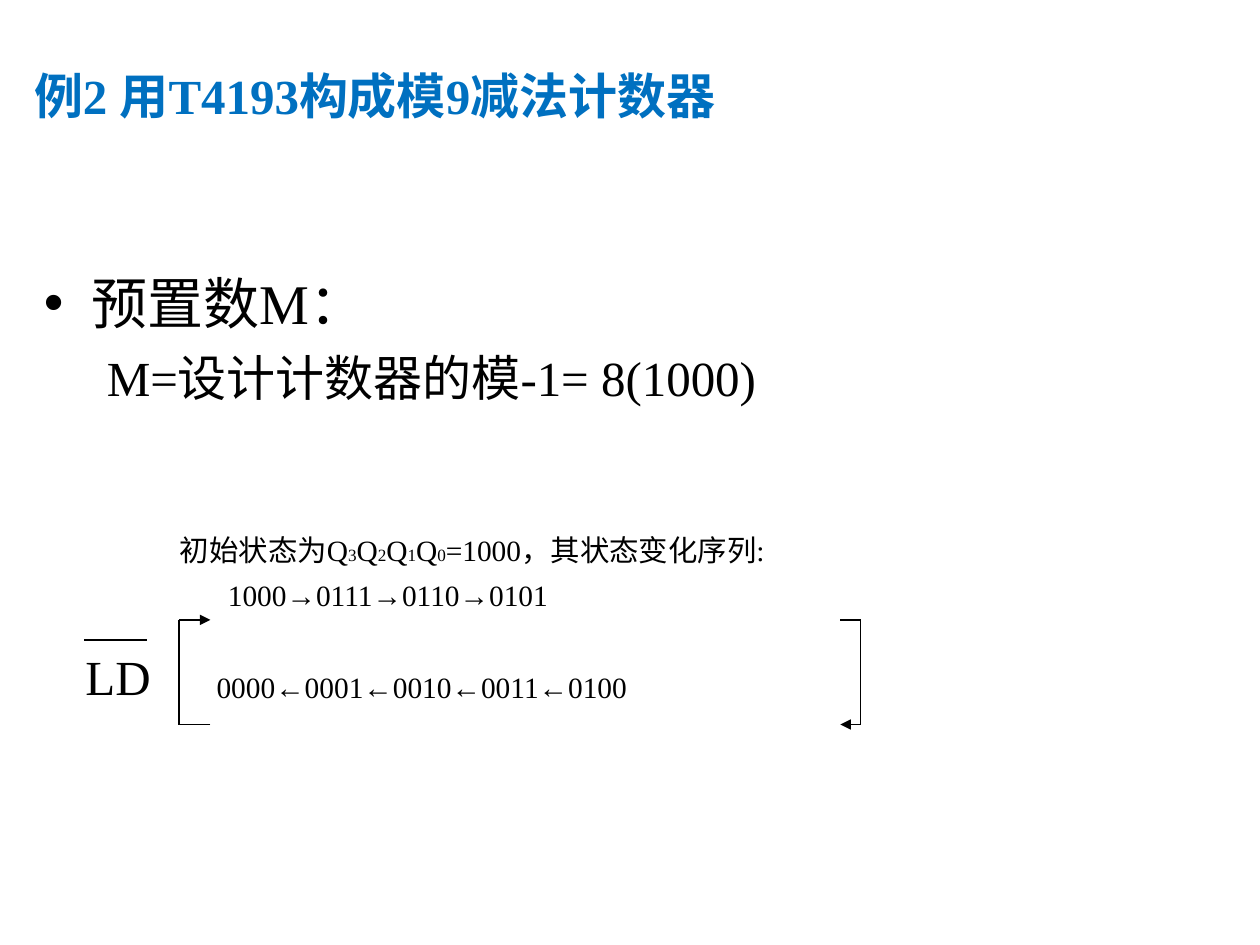
from itertools import pairwise

from lxml import etree
from pptx import Presentation
from pptx.dml.color import RGBColor
from pptx.enum import shapes, text
from pptx.oxml import ns
from pptx.util import Inches, Pt

FONT = "Times New Roman"
BLACK = "000000"
BLUE = "0070C0"


def color(value):
    return RGBColor.from_string(value)


def add_xml(parent, tag, **attrs):
    return etree.SubElement(parent, ns.qn(tag), **attrs)


def write(p, content, size, fill=BLACK, bold=False, before=0, left=0, first=0, bullet=None):
    pPr = p._p.get_or_add_pPr()
    pPr.set("marL", str(Inches(left)))
    pPr.set("indent", str(Inches(first)))
    if bullet:
        add_xml(pPr, "a:buFont", typeface="Arial")
        add_xml(pPr, "a:buChar", char=bullet)
    else:
        add_xml(pPr, "a:buNone")
    p.alignment = text.PP_ALIGN.LEFT
    p.space_before = Pt(before)
    runs = [content] if isinstance(content, str) else content
    for item in runs:
        value, baseline = (item, 0) if isinstance(item, str) else item
        r = p.add_run()
        r.text = value
        r.font.size = Pt(size)
        r.font.name = FONT
        r.font.bold = bold
        r.font.color.rgb = color(fill)
        if baseline:
            r.font._element.set("baseline", str(baseline))


def add_title(slide, content):
    sp = slide.shapes.title
    sp.left, sp.top, sp.width, sp.height = map(Inches, (0.17, 0.25, 6.57, 1))
    tf = sp.text_frame
    tf.word_wrap = True
    tf.vertical_anchor = text.MSO_ANCHOR.MIDDLE
    write(tf.paragraphs[0], content, 28, fill=BLUE, bold=True)


def add_text(slide, box, paragraphs):
    tf = slide.shapes.add_textbox(*map(Inches, box)).text_frame
    tf.word_wrap = True
    for i, (content, style) in enumerate(paragraphs):
        p = tf.add_paragraph() if i else tf.paragraphs[0]
        write(p, content, **style)


def add_line(parent, start, end, width=0.75, arrow=False):
    line = parent.shapes.add_connector(
        shapes.MSO_CONNECTOR.STRAIGHT, *map(Inches, (*start, *end)))
    line.line.color.rgb = color(BLACK)
    line.line.width = Pt(width)
    if arrow:
        add_xml(line.line._get_or_add_ln(), "a:tailEnd", type="triangle")
    add_xml(line._element.spPr, "a:effectLst")


def add_return_arrow(slide, inner, outer, start_y, end_y):
    group = slide.shapes.add_group_shape()
    points = [(inner, start_y), (outer, start_y), (outer, end_y), (inner, end_y)]
    for start, end in pairwise(points):
        add_line(group, start, end, arrow=end == points[-1])


def main():
    prs = Presentation()
    prs.slide_width, prs.slide_height = Inches(10), Inches(7.5)
    slide = prs.slides.add_slide(prs.slide_layouts[5])
    add_title(slide, "例2 用T4193构成模9减法计数器")

    add_text(slide, (0.25, 2.08, 8.92, 4.08), [
        ("预置数M：", dict(size=32, left=0.38, first=-0.38, bullet="•")),
        ("M=设计计数器的模-1= 8(1000)", dict(size=28, before=7, left=0.81, first=-0.31)),
    ])

    outputs = [part for n in "3210" for part in ("Q", (n, -30))]
    add_text(slide, (1.33, 4.17, 8.25, 1.58), [
        (["初始状态为", *outputs, "=1000，其状态变化序列:"], dict(size=16.8)),
        ("→".join(["1000", "0111", "0110", "0101"]), dict(size=16.8, before=6, left=0.38)),
        ("←".join(["0000", "0001", "0010", "0011", "0100"]),
         dict(size=16.8, before=32, left=0.29)),
    ])

    top, bottom = 4.92, 5.75
    add_return_arrow(slide, 6.67, 6.83, top, bottom)
    add_return_arrow(slide, 1.67, 1.42, bottom, top)

    add_text(slide, (0.58, 5.08, 0.92, 0.57), [("LD", dict(size=28))])
    add_line(slide, (0.67, 5.08), (1.17, 5.08), width=1.5)
    prs.save("out.pptx")


if __name__ == "__main__":
    main()
